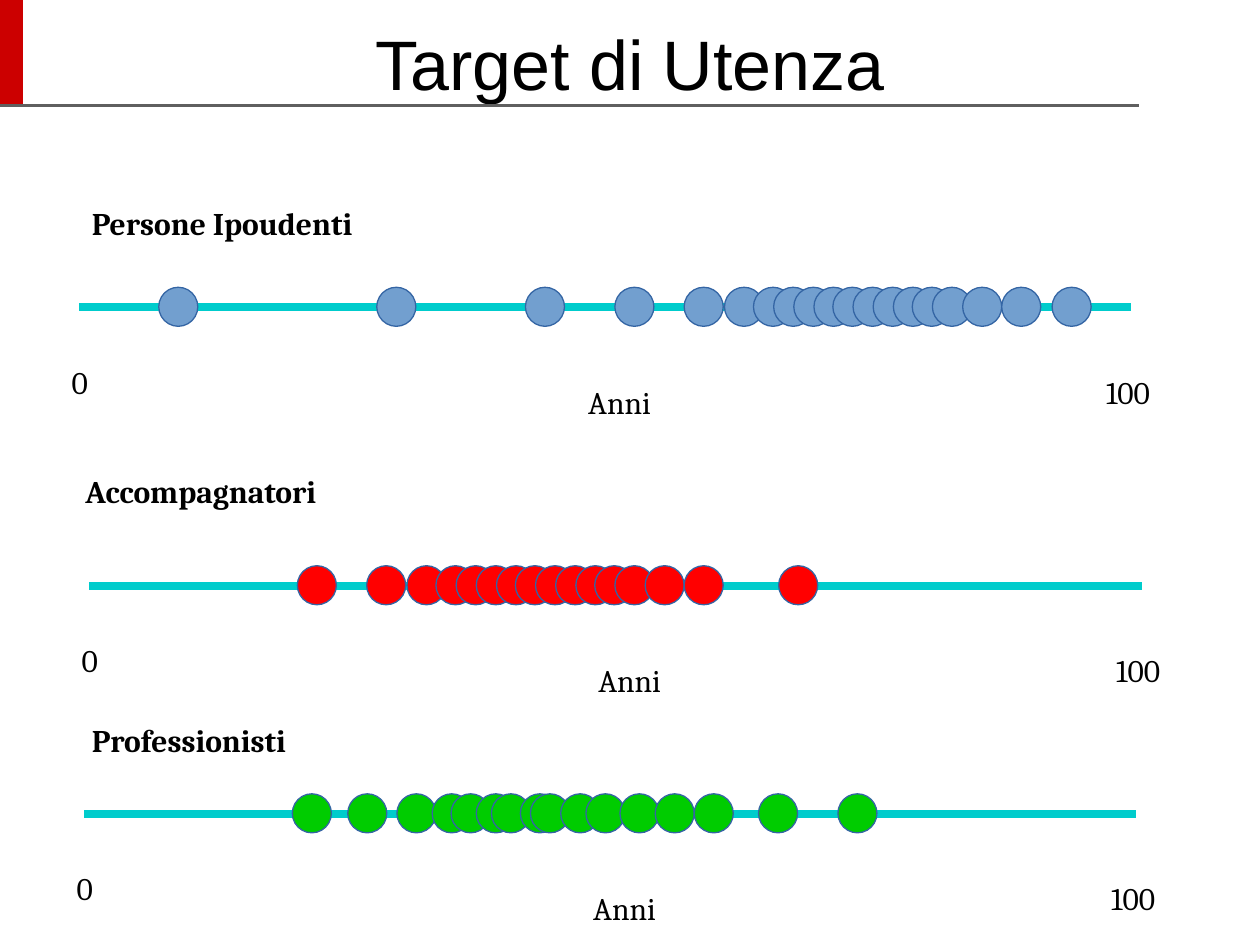
from lxml.etree import SubElement
from pptx import Presentation
from pptx.dml.color import RGBColor
from pptx.enum.shapes import MSO_CONNECTOR, MSO_SHAPE
from pptx.enum.text import MSO_ANCHOR, MSO_AUTO_SIZE, PP_ALIGN
from pptx.oxml.ns import qn
from pptx.util import Inches, Pt

AXIS_LENGTH = 8.35
DOT_SIZE = 0.31
TIMELINES = [
    {"name": "Persone Ipoudenti", "name_at": (0.63, 1.57, 2.32),
     "origin": (0.63, 2.44), "color": "729FCF",
     "dots": [1.26, 2.99, 4.17, 4.88, 5.43, 5.75, 5.98, 6.14, 6.3, 6.46,
              6.61, 6.77, 6.93, 7.09, 7.24, 7.4, 7.64, 7.95, 8.35]},
    {"name": "Accompagnatori", "name_at": (0.58, 3.7, 2.07),
     "origin": (0.71, 4.65), "color": "FF0000",
     "dots": [2.36, 2.91, 3.23, 3.46, 3.62, 3.78, 3.94, 4.09, 4.25, 4.41,
              4.57, 4.72, 4.88, 5.12, 5.43, 6.18]},
    {"name": "Professionisti", "name_at": (0.63, 5.67, 1.78),
     "origin": (0.67, 6.46), "color": "00CC00",
     "dots": [2.32, 2.76, 3.15, 3.43, 3.58, 3.78, 3.9, 4.13, 4.21, 4.45,
              4.65, 4.92, 5.2, 5.51, 6.02, 6.65]},
]
# Text, offset from the start of the axis, width
AXIS_LABELS = [("0", -0.16, 0.39, 0.34),
               ("100", 8.05, 0.47, 0.61),
               ("Anni", 3.94, 0.55, 0.7)]


def rgb(value):
    return RGBColor.from_string(value)


def apply(target, values):
    for name, value in values.items():
        setattr(target, name, value)


class TimelinePage:
    """Holds the text style and the current slide."""

    text_style = {"name": "Cambria", "size": Pt(18)}
    title_style = {"name": "Arial", "size": Pt(40), "bold": False}
    text_color = "000000"
    axis_color = "00CCCC"
    dot_border = "3465A4"

    def __init__(self, deck):
        self.page = deck.slides.add_slide(deck.slide_layouts[5])

    def title(self, text, left, top, width, height):
        box = self.page.shapes.title
        apply(box, {"left": Inches(left), "top": Inches(top),
                    "width": Inches(width), "height": Inches(height)})
        frame = box.text_frame
        apply(frame, {"text": text, "vertical_anchor": MSO_ANCHOR.TOP,
                      "auto_size": MSO_AUTO_SIZE.NONE,
                      "margin_top": Inches(0.11), "margin_bottom": 0})
        para = frame.paragraphs[0]
        para.alignment = PP_ALIGN.CENTER
        span = para.runs[0]
        apply(span.font, self.title_style)
        span.font.color.rgb = rgb(self.text_color)

    def line(self, start, end, color, weight):
        points = [Inches(value) for value in (*start, *end)]
        line = self.page.shapes.add_connector(MSO_CONNECTOR.STRAIGHT, *points)
        line.line.color.rgb = rgb(color)
        line.line.width = Pt(weight)
        SubElement(line._element.spPr, qn("a:effectLst"))

    def label(self, text, left, top, width, bold=False):
        box = self.page.shapes.add_textbox(
            Inches(left), Inches(top), Inches(width), Inches(0.39))
        frame = box.text_frame
        apply(frame, {"word_wrap": False,
                      "auto_size": MSO_AUTO_SIZE.SHAPE_TO_FIT_TEXT})
        span = frame.paragraphs[0].add_run()
        span.text = text
        apply(span.font, {**self.text_style, "bold": bold})
        span.font.color.rgb = rgb(self.text_color)

    def dot(self, left, top, color):
        dot = self.page.shapes.add_shape(
            MSO_SHAPE.OVAL, Inches(left), Inches(top),
            Inches(DOT_SIZE), Inches(DOT_SIZE))
        dot.shadow.inherit = False
        dot.fill.solid()
        dot.fill.fore_color.rgb = rgb(color)
        dot.line.color.rgb = rgb(self.dot_border)
        dot.line.width = Pt(0)

    def timeline(self, name, name_at, origin, color, dots):
        x, y = origin
        self.line(origin, (x + AXIS_LENGTH, y), self.axis_color, 4.5)
        for text, right, down, width in AXIS_LABELS:
            self.label(text, x + right, y + down, width)
        self.label(name, *name_at, bold=True)
        for left in dots:
            self.dot(left, y - 0.16, color)


def main():
    deck = Presentation()
    deck.slide_width, deck.slide_height = Inches(10), Inches(7.5)
    page = TimelinePage(deck)
    page.line((0.09, 0), (0.09, 0.84), "CC0000", 13.5)
    page.line((0, 0.84), (9.04, 0.84), "5F5F5F", 1.5)
    page.title("Target di Utenza", 0.5, 0.05, 9, 0.71)
    for timeline in TIMELINES:
        page.timeline(**timeline)
    deck.save("out.pptx")


if __name__ == "__main__":
    main()
